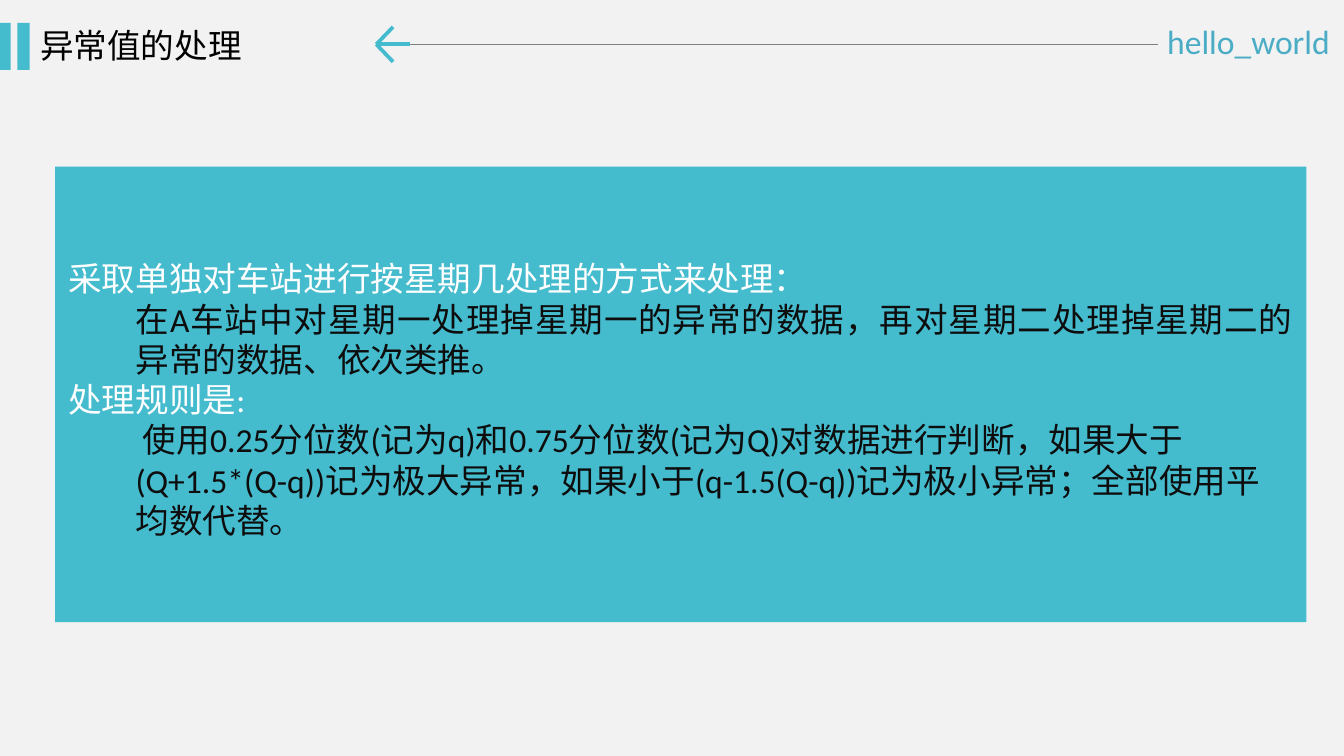
"""Build the slide on handling outlier values."""
import dataclasses

import lxml.etree
import pptx
import pptx.dml.color
import pptx.enum.shapes
import pptx.enum.text
import pptx.oxml.ns
import pptx.util

Pt = pptx.util.Pt
Align = pptx.enum.text.PP_ALIGN
Anchor = pptx.enum.text.MSO_ANCHOR

TEAL = "45BBCE"
WHITE = "FFFFFF"
INK = "0D0D0D"
AXIS = 23.76
TIP = 201.6
SHAFT_END = 219.6


@dataclasses.dataclass
class Line:
    start: tuple[float, float]
    end: tuple[float, float]
    color: str
    width: float


@dataclasses.dataclass
class Paragraph:
    text: str
    color: str
    align: Align = Align.LEFT
    level: int = 0
    first_indent: float = 0


@dataclasses.dataclass
class Label:
    area: tuple[float, float, float, float]
    paragraph: Paragraph
    side_inset: float


def rgb(value: str) -> pptx.dml.color.RGBColor:
    return pptx.dml.color.RGBColor.from_string(value)


def draw_line(page, line: Line) -> None:
    points = (Pt(value) for value in (*line.start, *line.end))
    connector = page.shapes.add_connector(
        pptx.enum.shapes.MSO_CONNECTOR.STRAIGHT, *points)
    connector.line.color.rgb = rgb(line.color)
    connector.line.width = Pt(line.width)
    lxml.etree.SubElement(connector._element.spPr,
                          pptx.oxml.ns.qn("a:effectLst"))


def draw_block(page, area: tuple[float, float, float, float]):
    block = page.shapes.add_shape(
        pptx.enum.shapes.MSO_SHAPE.RECTANGLE, *map(Pt, area))
    block.shadow.inherit = False
    block.fill.solid()
    block.fill.fore_color.rgb = rgb(TEAL)
    block.line.fill.background()
    return block


def write(frame, paragraphs: list[Paragraph]) -> None:
    frame.word_wrap = True
    for index, item in enumerate(paragraphs):
        para = frame.add_paragraph() if index else frame.paragraphs[0]
        para.alignment = item.align
        para.level = item.level
        if item.level:
            properties = para._p.get_or_add_pPr()
            properties.set("marL", str(Pt(36 * item.level)))
            properties.set("indent", str(Pt(item.first_indent)))
        span = para.add_run()
        span.text = item.text
        span.font.name = "Calibri"
        span.font.size = Pt(18)
        span.font.color.rgb = rgb(item.color)


def draw_label(page, label: Label) -> None:
    box = page.shapes.add_textbox(*map(Pt, label.area))
    frame = box.text_frame
    frame.margin_left = frame.margin_right = Pt(label.side_inset)
    write(frame, [label.paragraph])


LINES = [
    Line((SHAFT_END, AXIS), (620.64, AXIS), "808080", 0.75),
    Line((TIP, AXIS), (TIP + 9, AXIS - 9.36), TEAL, 2),
    Line((TIP, AXIS), (TIP + 9, AXIS + 9.36), TEAL, 2),
    Line((TIP, AXIS), (SHAFT_END, AXIS), TEAL, 2),
]

LABELS = [
    Label((617.76, 7.92, 102.24, 28.8),
          Paragraph("hello_world", "4BACC6", Align.CENTER), 0),
    Label((14.4, 10.08, 192.24, 28.8), Paragraph("异常值的处理", "000000"), 7.2),
]

RULES = [
    Paragraph("采取单独对车站进行按星期几处理的方式来处理：", WHITE),
    Paragraph("在A车站中对星期一处理掉星期一的异常的数据，再对星期二处理掉星期二的"
              "异常的数据、依次类推。", INK, Align.JUSTIFY, 1),
    Paragraph("处理规则是:", WHITE),
    Paragraph("使用0.25分位数(记为q)和0.75分位数(记为Q)对数据进行判断，如果大于 "
              "(Q+1.5*(Q-q))记为极大异常，如果小于(q-1.5(Q-q))记为极小异常；"
              "全部使用平均数代替。", INK, Align.LEFT, 1, 4),
]


def main() -> None:
    deck = pptx.Presentation()
    deck.slide_width, deck.slide_height = Pt(720), Pt(405)
    page = deck.slides.add_slide(deck.slide_layouts[6])
    page.background.fill.solid()
    page.background.fill.fore_color.rgb = rgb("F2F2F2")

    for left in (-0.72, 9.36):
        draw_block(page, (left, 12.24, 6.48, 25.2))
    for line in LINES:
        draw_line(page, line)
    for label in LABELS:
        draw_label(page, label)

    panel = draw_block(page, (29.52, 89.28, 670.32, 244.08))
    frame = panel.text_frame
    frame.vertical_anchor = Anchor.MIDDLE
    frame.margin_top = Pt(8.6)
    write(frame, RULES)
    deck.save("out.pptx")


if __name__ == "__main__":
    main()
